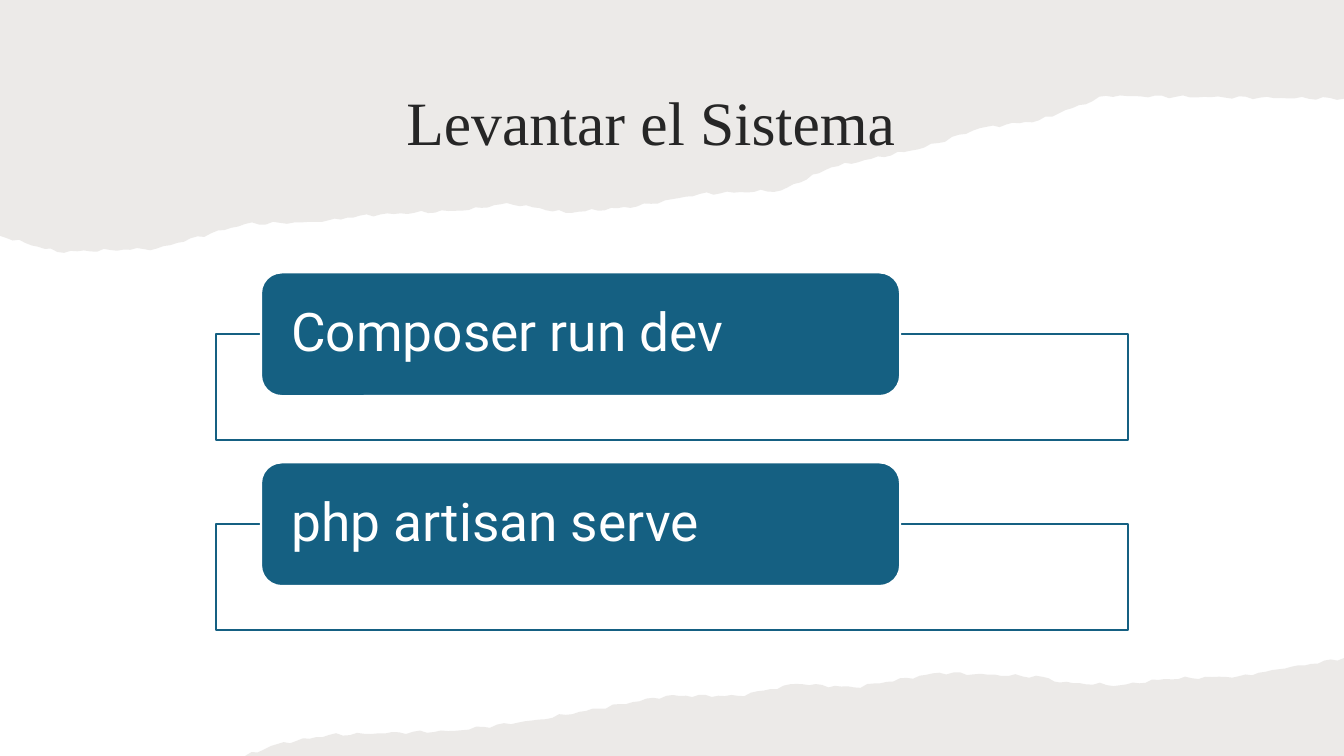
from dataclasses import dataclass
from itertools import pairwise
from math import ceil, sin
from typing import Any

from pptx import Presentation
from pptx.dml.color import RGBColor
from pptx.enum.shapes import MSO_SHAPE
from pptx.enum.text import MSO_ANCHOR, MSO_AUTO_SIZE, PP_ALIGN
from pptx.oxml.ns import qn
from pptx.util import Pt

Point = tuple[float, float]

PAPER, BLUE, WHITE, INK = "82766A", "156082", "FFFFFF", "262626"
WIDTH, HEIGHT = 960, 540
ROW_PITCH = 135.7
TEAR_STEP, TEAR_ROUGHNESS = 5, 0.6


@dataclass(frozen=True)
class Box:
    left: float
    top: float
    width: float
    height: float

    def lowered(self, distance: float) -> "Box":
        return Box(self.left, self.top + distance, self.width, self.height)

    def placement(self) -> dict[str, Any]:
        return {"left": Pt(self.left), "top": Pt(self.top),
                "width": Pt(self.width), "height": Pt(self.height)}


@dataclass(frozen=True)
class TornPaper:
    bends: list[Point]    # where the tear changes direction, left to right
    corners: list[Point]  # slide corners that close the sheet


@dataclass(frozen=True)
class TextStyle:
    font: str
    size: float
    hex_value: str
    alignment: PP_ALIGN


TITLE = Box(89.3, 43.2, 751.7, 93.6)
FRAME = Box(154.1, 238.7, 651.6, 75.6)
LABEL = Box(186.5, 194.6, 456.5, 88.3)
COMMANDS = ["Composer run dev", "php artisan serve"]

TITLE_STYLE = TextStyle("Times New Roman", 44, INK, PP_ALIGN.CENTER)
LABEL_STYLE = TextStyle("Roboto", 38, WHITE, PP_ALIGN.LEFT)
LABEL_MARGINS = {"margin_left": Pt(17.3), "margin_right": Pt(17.3),
                 "margin_top": Pt(0), "margin_bottom": Pt(0)}

UPPER_PAPER = TornPaper(
    bends=[(0, 168.5), (41, 180), (112, 177.5), (175, 160), (230, 158.5), (257, 154),
           (335, 150), (362, 145), (404, 152), (455, 147.5), (500, 138.5), (558, 136),
           (594, 119.5), (660, 105.5), (700, 91.5), (742, 86), (790, 68.5), (WIDTH, 70.5)],
    corners=[(WIDTH, 0), (0, 0)])
LOWER_PAPER = TornPaper(
    bends=[(175, HEIGHT), (198, 531.5), (235, 525), (325, 522), (385, 514), (476, 497),
           (527, 497), (569, 488.5), (610, 491), (671, 480.5), (745, 483.5), (757, 487.5),
           (800, 489.5), (832, 485), (885, 483), (918, 477.5), (WIDTH, 470)],
    corners=[(WIDTH, HEIGHT)])


def color(hex_value: str) -> RGBColor:
    return RGBColor.from_string(hex_value)


def apply_format(target: Any, values: dict[str, Any]) -> None:
    for name, value in values.items():
        setattr(target, name, value)


def set_fill(shape: Any, hex_value: str, opacity: int = 100) -> None:
    shape.shadow.inherit = False
    shape.fill.solid()
    shape.fill.fore_color.rgb = color(hex_value)
    if opacity < 100:
        fill_color = shape.element.spPr.find(qn("a:solidFill")).find(qn("a:srgbClr"))
        alpha = fill_color.makeelement(qn("a:alpha"), {"val": str(opacity * 1000)})
        fill_color.append(alpha)


def torn_edge(bends: list[Point]) -> list[Point]:
    """Join the bends with short steps, each shifted a little up or down."""
    edge = []
    for (left, start), (right, end) in pairwise(bends):
        steps = ceil((right - left) / TEAR_STEP)
        edge.append((left, start))
        for step in range(1, steps):
            share = step / steps
            x = left + share * (right - left)
            ripple = TEAR_ROUGHNESS * (sin(0.31 * x) + sin(0.83 * x))
            edge.append((x, start + share * (end - start) + ripple))
    return edge + bends[-1:]


def add_torn_paper(slide: Any, paper: TornPaper) -> Any:
    outline = torn_edge(paper.bends) + paper.corners
    start, *others = [(Pt(x), Pt(y)) for x, y in outline]
    builder = slide.shapes.build_freeform(*start)
    builder.add_line_segments(others, close=True)
    shape = builder.convert_to_shape()
    set_fill(shape, PAPER, 15)
    shape.line.fill.background()
    return shape


def add_box(slide: Any, kind: MSO_SHAPE, box: Box, fill: str, line: str,
            opacity: int = 100) -> Any:
    shape = slide.shapes.add_shape(kind, **box.placement())
    set_fill(shape, fill, opacity)
    shape.line.color.rgb = color(line)
    shape.line.width = Pt(1.5)
    return shape


def write_text(shape: Any, text: str, style: TextStyle, margins: dict[str, Any]) -> None:
    frame = shape.text_frame
    apply_format(frame, {"word_wrap": True, "auto_size": MSO_AUTO_SIZE.NONE,
                         "vertical_anchor": MSO_ANCHOR.MIDDLE, **margins})
    paragraph = frame.paragraphs[0]
    paragraph.text = text
    apply_format(paragraph, {"alignment": style.alignment, "line_spacing": 0.9})
    apply_format(paragraph.font, {"name": style.font, "size": Pt(style.size)})
    paragraph.font.color.rgb = color(style.hex_value)


def add_command_row(slide: Any, row: int, command: str) -> None:
    offset = row * ROW_PITCH
    add_box(slide, MSO_SHAPE.RECTANGLE, FRAME.lowered(offset), WHITE, BLUE, 90)
    label = add_box(slide, MSO_SHAPE.ROUNDED_RECTANGLE, LABEL.lowered(offset), BLUE, WHITE)
    write_text(label, command, LABEL_STYLE, LABEL_MARGINS)


def main() -> None:
    presentation = Presentation()
    apply_format(presentation, {"slide_width": Pt(WIDTH), "slide_height": Pt(HEIGHT)})
    slide = presentation.slides.add_slide(presentation.slide_layouts[5])

    # Title, with the upper torn paper moved behind it
    title = slide.shapes.title
    apply_format(title, TITLE.placement())
    write_text(title, "Levantar el Sistema", TITLE_STYLE, margins={})
    title.element.addprevious(add_torn_paper(slide, UPPER_PAPER).element)

    # Command rows: an open frame with a label on its upper edge
    for row, command in enumerate(COMMANDS):
        add_command_row(slide, row, command)

    # Lower torn paper
    add_torn_paper(slide, LOWER_PAPER)
    presentation.save("out.pptx")


if __name__ == "__main__":
    main()
